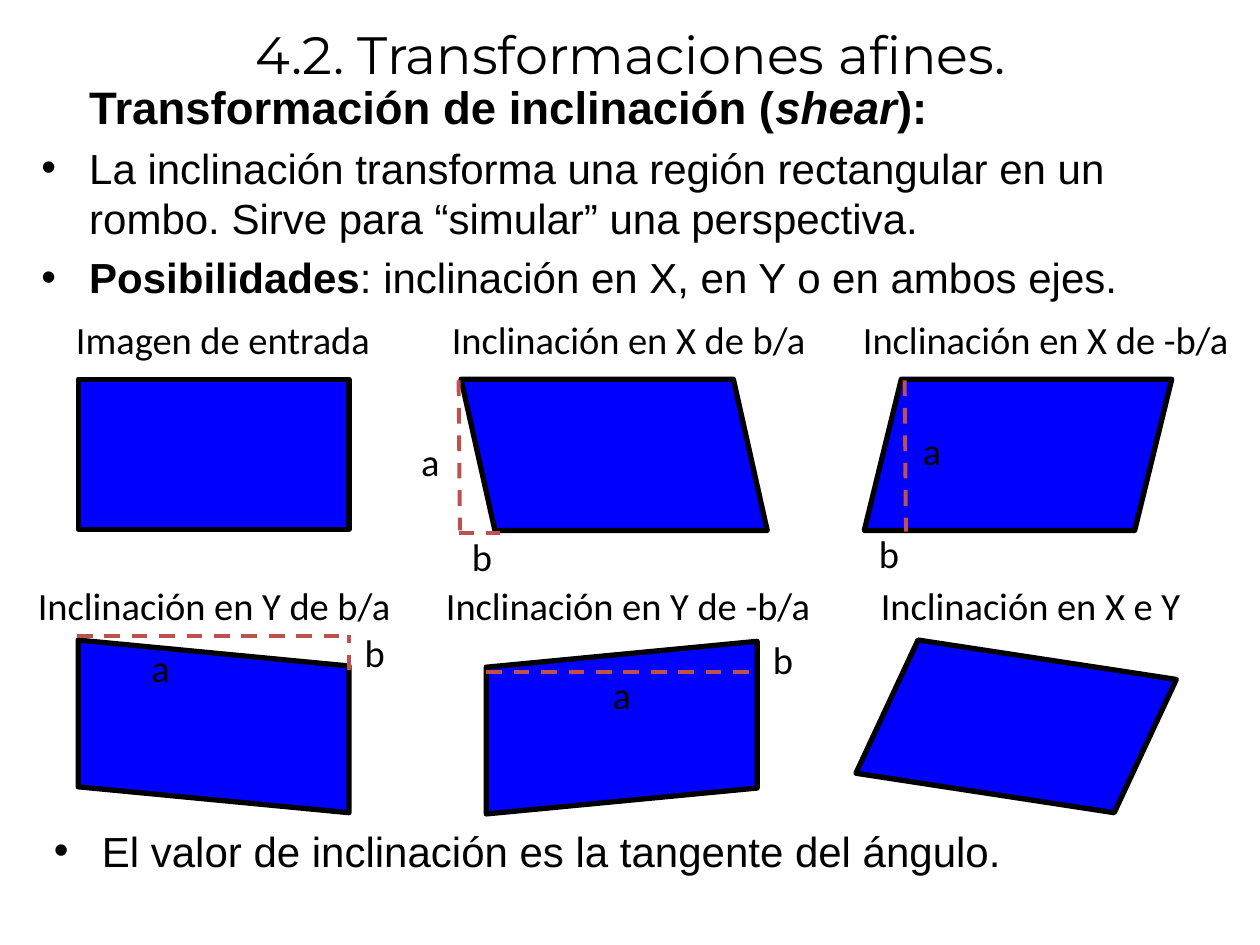
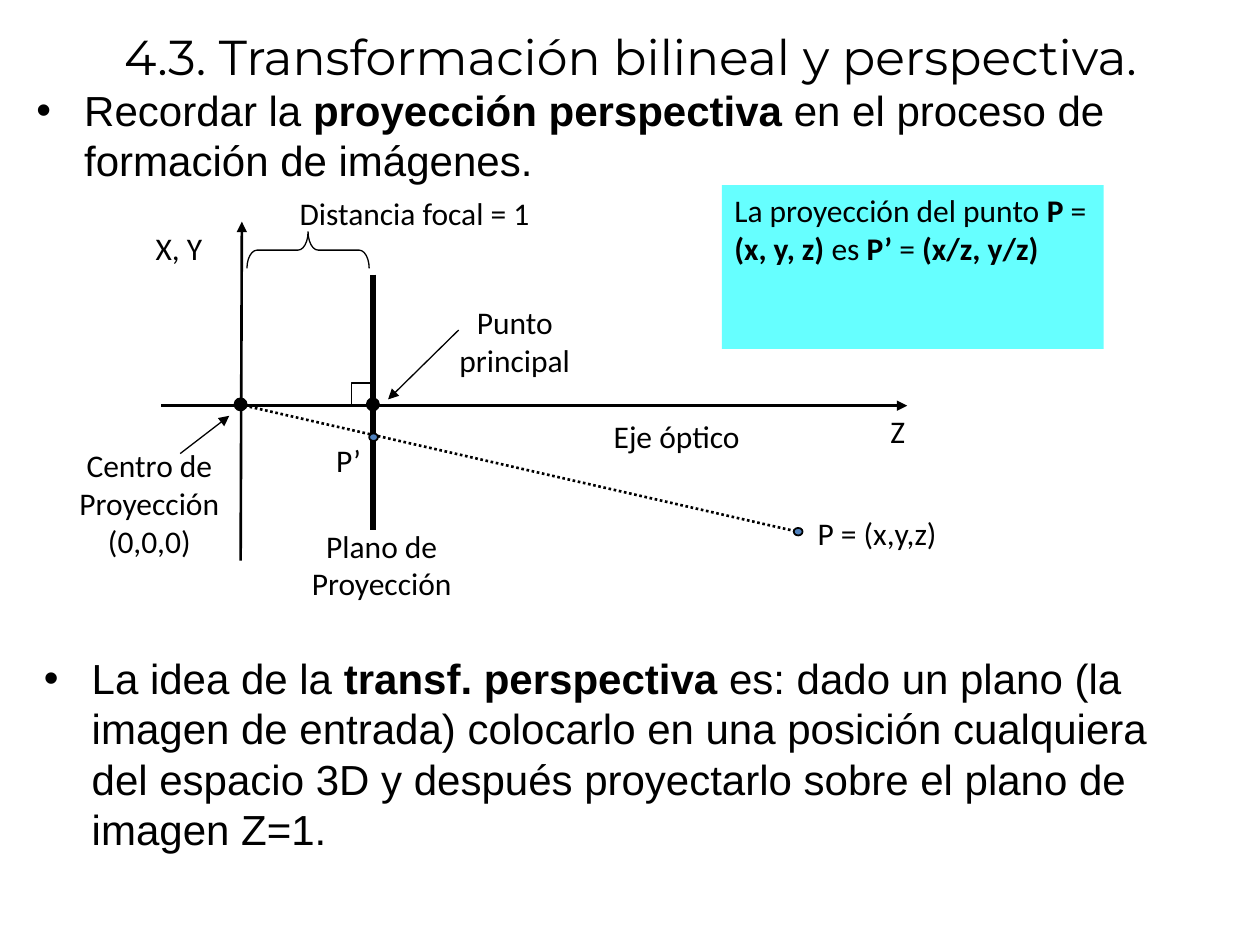
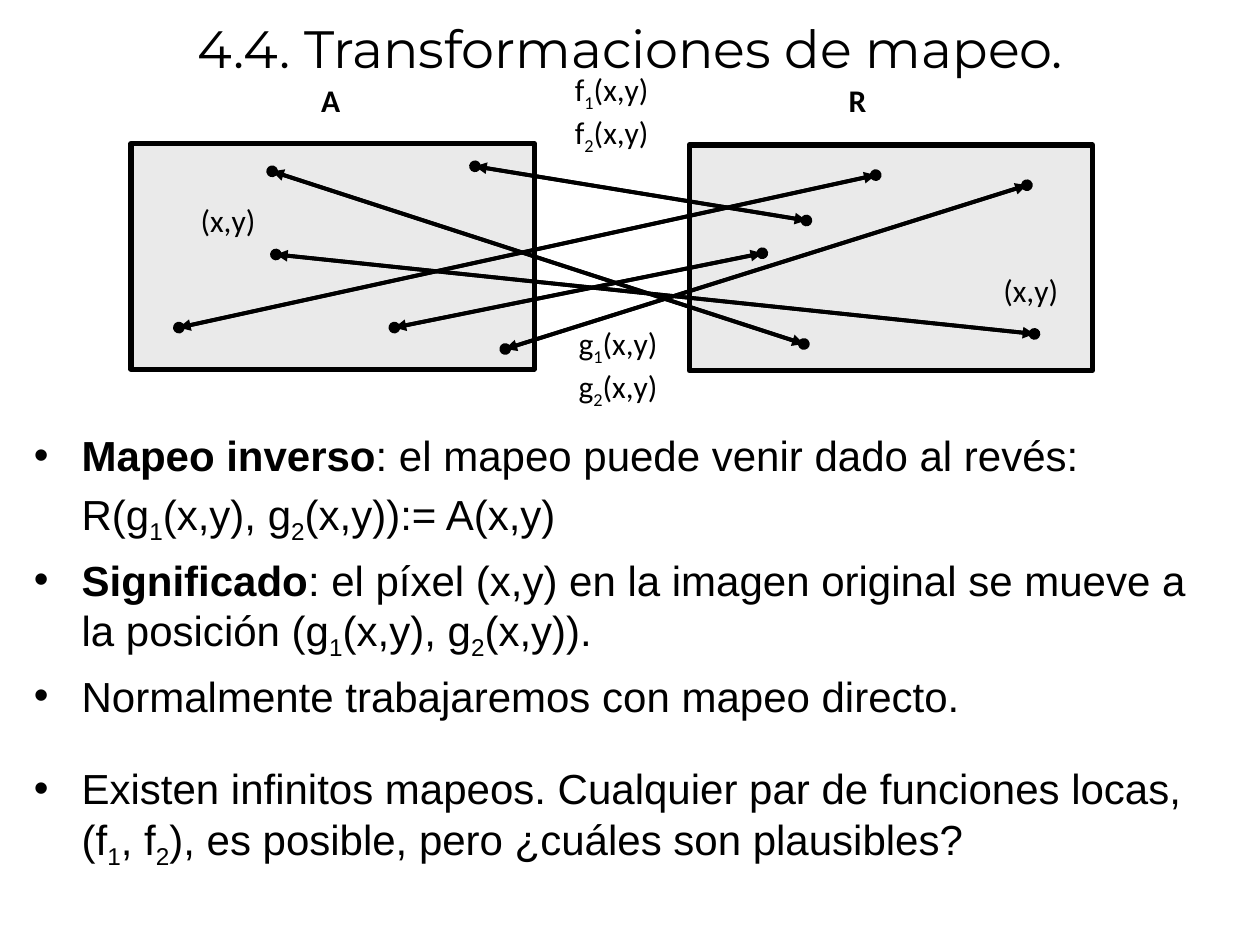
from dataclasses import dataclass
from typing import NamedTuple

from lxml.etree import SubElement as SubEl
from pptx import Presentation
from pptx.dml.color import RGBColor
from pptx.enum.dml import MSO_LINE as Dash
from pptx.enum.shapes import MSO_CONNECTOR as Conn, MSO_SHAPE as Kind
from pptx.enum.text import MSO_ANCHOR as Anchor, MSO_AUTO_SIZE as Fit, PP_ALIGN as Align
from pptx.oxml.ns import qn
from pptx.util import Inches, Pt

BLACK, BLUE, RED = "000000", "0000FF", "C0504D"
CYAN, GREY, STEEL = "66FFFF", "EAEAEA", "4F81BD"
HEAD, BODY, NOTE = "Montserrat", "Arial", "Calibri"
INDENT = 0.38


class Run(NamedTuple):
    text: str
    bold: bool = False
    ital: bool = False
    sub: bool = False


class Box(NamedTuple):
    left: float
    top: float
    width: float
    height: float


@dataclass
class Item:
    """A body paragraph."""
    runs: list[Run]
    bullet: bool = True
    size: float = 24
    gap: float = 4.8


@dataclass
class Label:
    runs: list[Run]
    box: Box
    size: float = 18
    align: Align = Align.CENTER


@dataclass
class Form:
    kind: Kind
    box: Box
    fill: str | None = None
    line: float = 0
    turn: float = 0
    flip: bool = False
    adjust: tuple[float, ...] = ()


@dataclass
class Line:
    start: tuple[float, float]
    end: tuple[float, float]
    width: float = 2.25
    color: str = BLACK
    dash: Dash | None = None
    head: str | None = None
    tail: str | None = None


def rgb(code: str) -> RGBColor:
    return RGBColor.from_string(code)


def bold(text: str) -> Run:
    return Run(text, bold=True)


def sub(text: str) -> Run:
    return Run(text, sub=True)


def place(box: Box) -> list[int]:
    return [Inches(v) for v in box]


def put_runs(para, runs: list[Run], font: str, size: float) -> None:
    for part in runs:
        if part.text == "\n":
            para.add_line_break()
            continue
        run = para.add_run()
        run.text = part.text
        run.font.name, run.font.size = font, Pt(size)
        run.font.bold, run.font.italic = part.bold, part.ital
        run.font.color.rgb = rgb(BLACK)
        if part.sub:
            run.font._element.set("baseline", "-25000")


def new_slide(deck, title: str, height: float, size: float):
    slide = deck.slides.add_slide(deck.slide_layouts[5])
    shape = slide.shapes.title
    shape.left, shape.top, shape.width, shape.height = place(Box(0.2, 0, 9.61, height))
    frame = shape.text_frame
    frame.auto_size, frame.vertical_anchor = Fit.NONE, Anchor.MIDDLE
    frame.paragraphs[0].alignment = Align.CENTER
    put_runs(frame.paragraphs[0], [Run(title)], HEAD, size)
    return slide


def new_frame(slide, box: Box):
    frame = slide.shapes.add_textbox(*place(box)).text_frame
    frame.word_wrap = True
    return frame


def add_body(slide, box: Box, items: list[Item]) -> None:
    frame = new_frame(slide, box)
    for i, item in enumerate(items):
        para = frame.add_paragraph() if i else frame.paragraphs[0]
        if i:
            para.space_before = Pt(item.gap)
        props = para._p.get_or_add_pPr()
        props.set("marL", str(Inches(INDENT)))
        props.set("indent", str(Inches(-INDENT if item.bullet else 0)))
        if item.bullet:
            SubEl(props, qn("a:buFont")).set("typeface", BODY)
            SubEl(props, qn("a:buChar")).set("char", "•")
        put_runs(para, item.runs, BODY, item.size)


def add_label(slide, label: Label) -> None:
    para = new_frame(slide, label.box).paragraphs[0]
    para.alignment = label.align
    put_runs(para, label.runs, NOTE, label.size)


def paint(shape, fill: str | None, line: float) -> None:
    shape.shadow.inherit = False
    if fill:
        shape.fill.solid()
        shape.fill.fore_color.rgb = rgb(fill)
    else:
        shape.fill.background()
    if line:
        shape.line.color.rgb = rgb(BLACK)
        shape.line.width = Pt(line)
    else:
        shape.line.fill.background()


def add_form(slide, form: Form):
    shape = slide.shapes.add_shape(form.kind, *place(form.box))
    for i, value in enumerate(form.adjust):
        shape.adjustments[i] = value
    shape.rotation = form.turn
    if form.flip:
        shape.element.spPr.get_or_add_xfrm().set("flipH", "1")
    paint(shape, form.fill, form.line)
    return shape


def add_line(slide, line: Line) -> None:
    ends = [Inches(v) for v in (*line.start, *line.end)]
    link = slide.shapes.add_connector(Conn.STRAIGHT, *ends)
    link.line.color.rgb = rgb(line.color)
    link.line.width = Pt(line.width)
    if line.dash:
        link.line.dash_style = line.dash
    for tag, mark in (("a:headEnd", line.head), ("a:tailEnd", line.tail)):
        if mark:
            SubEl(link.line._get_or_add_ln(), qn(tag)).set("type", mark)
    SubEl(link.element.spPr, qn("a:effectLst"))


def shear_slide(deck) -> None:
    slide = new_slide(deck, "4.2. Transformaciones afines.", 0.85, 30)
    add_body(slide, Box(0.23, 0.58, 9.48, 1.98), [
        Item([bold("Transformación de inclinación ("), Run("shear", True, True), bold("):")],
             bullet=False, size=26),
        Item([Run("La inclinación transforma una región rectangular en un rombo. "
                  "Sirve para “simular” una perspectiva.")]),
        Item([bold("Posibilidades"), Run(": inclinación en X, en Y o en ambos ejes.")]),
    ])
    slant = Kind.PARALLELOGRAM
    for form in (
        Form(Kind.RECTANGLE, Box(0.62, 3.01, 2.15, 1.19)),
        Form(slant, Box(6.86, 3.01, 2.44, 1.2), adjust=(0.245,)),
        Form(slant, Box(3.66, 3.01, 2.43, 1.2), flip=True, adjust=(0.224,)),
        Form(slant, Box(1.01, 4.69, 1.37, 2.15), turn=270, adjust=(0.15,)),
        Form(slant, Box(4.25, 4.7, 1.37, 2.15), turn=90, flip=True, adjust=(0.15,)),
        Form(slant, Box(7.19, 4.77, 1.75, 1.99), turn=115, flip=True, adjust=(0.333,)),
    ):
        form.fill, form.line = BLUE, 3
        add_form(slide, form)

    for start, end in (
        ((3.64, 3.02), (3.65, 4.21)),
        ((3.64, 4.23), (3.97, 4.23)),
        ((7.18, 3.02), (7.19, 4.22)),
        ((0.61, 5.05), (2.75, 5.05)),
        ((2.77, 5.32), (2.77, 5.04)),
        ((3.86, 5.33), (6, 5.33)),
    ):
        add_line(slide, Line(start, end, color=RED, dash=Dash.DASH))

    for text, left, top, width in (
        ("Imagen de entrada", 0.22, 2.46, 3.1),
        ("Inclinación en X de b/a", 3.3, 2.46, 3.38),
        ("Inclinación en X de -b/a", 6.6, 2.46, 3.4),
        ("Inclinación en Y de b/a", 0, 4.57, 3.4),
        ("Inclinación en Y de -b/a", 3.28, 4.57, 3.41),
        ("Inclinación en X e Y", 6.63, 4.57, 3.1),
        ("a", 3.1, 3.43, 0.63),
        ("b", 3.51, 4.18, 0.63),
        ("a", 7.08, 3.34, 0.63),
        ("b", 6.74, 4.16, 0.63),
        ("a", 0.96, 5.06, 0.63),
        ("b", 2.66, 4.94, 0.63),
        ("a", 4.62, 5.28, 0.63),
        ("b", 5.9, 5, 0.63),
    ):
        add_label(slide, Label([Run(text)], Box(left, top, width, 0.47), 22))
    add_body(slide, Box(0.33, 6.5, 9.48, 0.56),
             [Item([Run("El valor de inclinación es la tangente del ángulo.")])])


def view_slide(deck) -> None:
    slide = new_slide(deck, "4.3. Transformación bilineal y perspectiva.", 0.89, 28)
    add_body(slide, Box(0.19, 0.62, 9.35, 0.85), [
        Item([Run("Recordar la "), bold("proyección perspectiva"),
              Run(" en el proceso de formación de imágenes.")]),
    ])
    add_body(slide, Box(0.25, 5.13, 9.47, 1.79), [
        Item([Run("La idea de la "), bold("transf. perspectiva"),
              Run(" es: dado un plano (la imagen de entrada) colocarlo en una posición "
                  "cualquiera del espacio 3D y después proyectarlo sobre el plano de "
                  "imagen Z=1.")]),
    ])
    arrow = "triangle"
    for line in (
        Line((1.28, 3.22), (7.2, 3.22), 1.5, tail=arrow),
        Line((1.91, 4.45), (1.92, 1.76), 1.5, tail=arrow),
        Line((2.96, 2.18), (2.96, 4.21), 3),
        Line((1.43, 3.6), (1.82, 3.3), 0.75, tail=arrow),
        Line((3.64, 2.62), (3.08, 3.17), 0.75, tail=arrow),
        Line((1.9, 3.21), (6.33, 4.22), 1.5, dash=Dash.ROUND_DOT),
    ):
        add_line(slide, line)

    corner = slide.shapes.build_freeform(Inches(2.79), Inches(3.22))
    corner.add_line_segments([(Inches(2.79), Inches(3.04)), (Inches(2.95), Inches(3.04))],
                             close=False)
    paint(corner.convert_to_shape(), None, 0.75)

    for form in (
        Form(Kind.LEFT_BRACE, Box(2.3, 1.5, 0.29, 0.97), None, 0.75, 90, adjust=(0.276, 0.5)),
        Form(Kind.OVAL, Box(1.86, 3.16, 0.1, 0.1), BLACK, 0.75),
        Form(Kind.OVAL, Box(2.91, 3.16, 0.1, 0.1), BLACK, 0.75),
        Form(Kind.OVAL, Box(6.3, 4.19, 0.07, 0.06), STEEL, 1),
        Form(Kind.OVAL, Box(2.93, 3.44, 0.07, 0.06), STEEL, 1),
    ):
        add_form(slide, form)

    for text, box in (
        ("Centro de Proyección (0,0,0)", Box(0.44, 3.49, 1.49, 1)),
        ("Plano de Proyección", Box(2.26, 4.13, 1.54, 0.7)),
        ("Distancia focal = 1", Box(1.95, 1.49, 2.68, 0.4)),
        ("X, Y", Box(0.89, 1.77, 1.06, 0.4)),
        ("Z", Box(6.8, 3.22, 0.65, 0.4)),
        ("Eje óptico", Box(4.55, 3.26, 1.64, 0.4)),
        ("Punto principal", Box(3.48, 2.36, 1.21, 0.7)),
    ):
        add_label(slide, Label([Run(text)], box))
    for text, box in (
        ("P = (x,y,z)", Box(6.39, 4.03, 1.62, 0.4)),
        ("P’", Box(2.57, 3.45, 0.44, 0.4)),
    ):
        add_label(slide, Label([Run(text)], box, align=Align.LEFT))

    panel = add_form(slide, Form(Kind.RECTANGLE, Box(5.73, 1.47, 3.03, 1.3), CYAN))
    frame = panel.text_frame
    frame.word_wrap, frame.vertical_anchor = True, Anchor.TOP
    frame.paragraphs[0].alignment = Align.LEFT
    put_runs(frame.paragraphs[0], [
        Run("La proyección del punto "), bold("P"), Run(" = "), bold("(x, y, z)"),
        Run(" es "), bold("P’"), Run(" = "), bold("(x/z, y/z)"),
    ], NOTE, 18)


def pair(name: str) -> list[Run]:
    """Two stacked functions, numbered 1 and 2."""
    return [Run(name), sub("1"), Run("(x,y)"), Run("\n"), Run(name), sub("2"), Run("(x,y)")]


def map_slide(deck) -> None:
    slide = new_slide(deck, "4.4. Transformaciones de mapeo.", 0.76, 30)
    for left, top in ((1.04, 1.14), (5.47, 1.15)):
        add_form(slide, Form(Kind.RECTANGLE, Box(left, top, 3.2, 1.79), GREY, 3))
    for start, end in (
        ((6.4, 1.75), (3.77, 1.32)),
        ((6.05, 2.01), (3.13, 2.6)),
        ((6.38, 2.73), (2.16, 1.36)),
        ((6.95, 1.39), (1.42, 2.6)),
        ((8.21, 2.65), (2.19, 2.02)),
        ((8.15, 1.47), (4.01, 2.77)),
    ):
        for head, tail in (("oval", "triangle"), ("triangle", "oval")):
            add_line(slide, Line(start, end, head=head, tail=tail))
    for runs, box in (
        (pair("f"), Box(4.15, 0.51, 1.41, 0.9)),
        (pair("g"), Box(4.2, 2.52, 1.41, 0.9)),
        ([bold("A")], Box(2.35, 0.59, 0.55, 0.5)),
        ([bold("R")], Box(6.53, 0.59, 0.55, 0.5)),
        ([Run("(x,y)")], Box(7.72, 2.1, 0.92, 0.5)),
        ([Run("(x,y)")], Box(1.38, 1.55, 0.86, 0.5)),
    ):
        add_label(slide, Label(runs, box))

    one, two = sub("1"), sub("2")
    add_body(slide, Box(0.17, 3.36, 9.6, 3.58), [
        Item([bold("Mapeo inverso"), Run(": el mapeo puede venir dado al revés:")]),
        Item([Run("R(g"), one, Run("(x,y), g"), two, Run("(x,y)):= A(x,y)")], bullet=False),
        Item([bold("Significado"),
              Run(": el píxel (x,y) en la imagen original se mueve a la posición (g"),
              one, Run("(x,y), g"), two, Run("(x,y)).")]),
        Item([Run("Normalmente trabajaremos con mapeo directo.")]),
        Item([Run("Existen infinitos mapeos. Cualquier par de funciones locas, (f"),
              one, Run(", f"), two, Run("), es posible, pero ¿cuáles son plausibles?")],
             gap=24),
    ])


def main() -> None:
    deck = Presentation()
    deck.slide_width, deck.slide_height = Inches(10), Inches(7.5)
    shear_slide(deck)
    view_slide(deck)
    map_slide(deck)
    deck.save("out.pptx")


if __name__ == "__main__":
    main()
